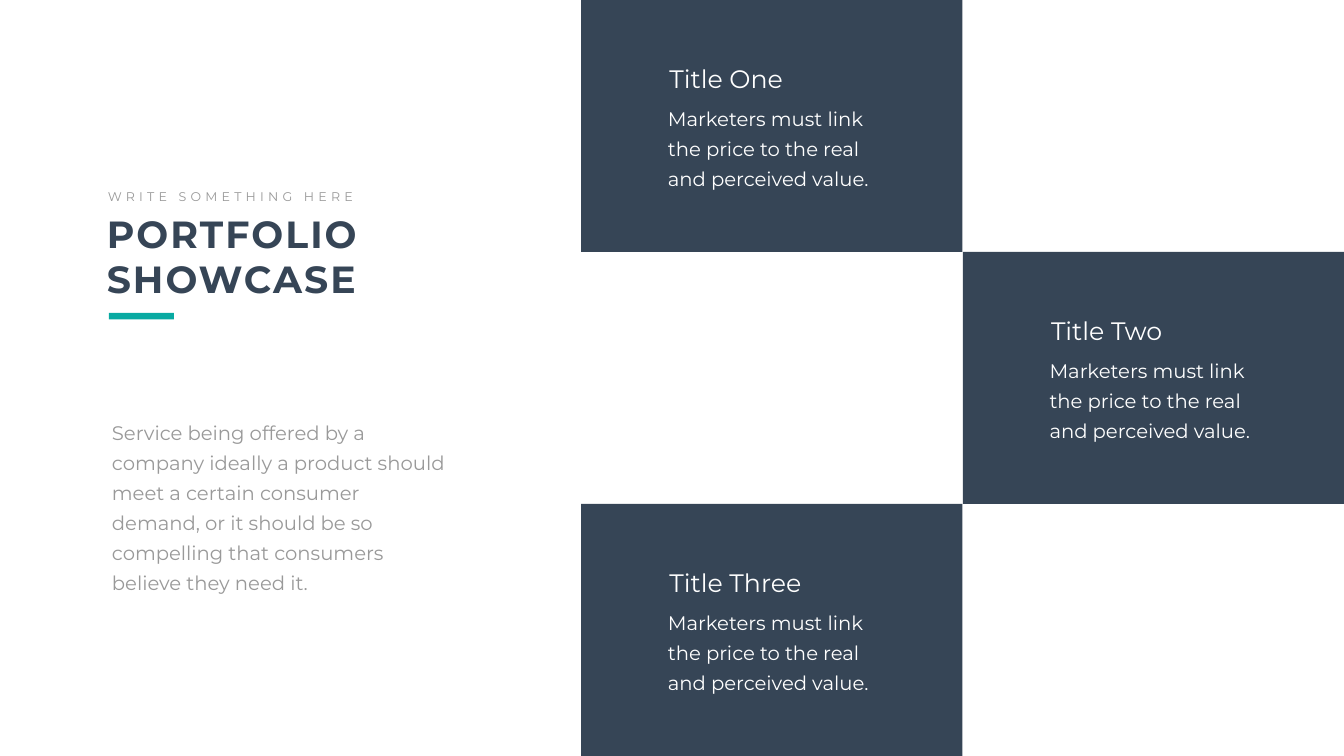
from dataclasses import dataclass

from pptx import Presentation
from pptx import util as u
from pptx.dml.color import RGBColor
from pptx.enum import shapes, text


@dataclass(frozen=True)
class Theme:
    font: str = "Montserrat"
    navy: str = "364556"
    teal: str = "08AAA2"
    gray: str = "999999"
    white: str = "FFFFFF"
    head: int = 54
    title: int = 36
    body: int = 28
    label: int = 18
    lead: int = 43


def write(frame, words, size, color, font, bold=False, track=0, lead=None):
    """Fill a text frame with one formatted paragraph."""
    para = frame.paragraphs[0]
    if lead:
        para.line_spacing = u.Pt(lead)
    run = para.add_run()
    run.text = words
    run.font.name = font
    run.font.size = u.Pt(size)
    run.font.bold = bold
    run.font.color.rgb = RGBColor.from_string(color)
    if track:
        run.font._element.set("spc", str(track * 100))


class Deck:
    def __init__(self, theme, width, height):
        self.theme = theme
        self.file = Presentation()
        self.file.slide_width = u.Inches(width)
        self.file.slide_height = u.Inches(height)
        self.slide = self.file.slides.add_slide(self.file.slide_layouts[6])
        self.group()

    def group(self):
        """Start a group that takes the elements that follow."""
        self.host = self.slide.shapes.add_group_shape().shapes

    def block(self, box, color):
        shape = self.host.add_shape(
            shapes.MSO_SHAPE.RECTANGLE, *map(u.Inches, box))
        shape.shadow.inherit = False
        shape.fill.solid()
        shape.fill.fore_color.rgb = RGBColor.from_string(color)
        shape.line.fill.background()

    def label(self, box, words, size, color, wrap=True, pad=(0.1, 0.05),
              **style):
        frame = self.host.add_textbox(*map(u.Inches, box)).text_frame
        frame.word_wrap = wrap
        frame.auto_size = text.MSO_AUTO_SIZE.SHAPE_TO_FIT_TEXT
        frame.margin_left = frame.margin_right = u.Inches(pad[0])
        frame.margin_top = frame.margin_bottom = u.Inches(pad[1])
        write(frame, words, size, color, self.theme.font, **style)


def main():
    look = Theme()
    deck = Deck(look, 26.66, 15)

    # Checkered cards: left edge, row, title, title width
    wide, tall = 7.56, 5
    left, right = 11.53, 19.1
    cards = [
        (left, 0, "Title One", 2.51),
        (right, 1, "Title Two", 2.5),
        (left, 2, "Title Three", 2.89),
    ]
    for x, row, *_ in cards:
        deck.block((x, row * tall, wide, tall), look.navy)

    # Card texts
    pitch = "Marketers must link the price to the real and perceived value."
    for x, row, title, span in cards:
        y = row * tall
        deck.group()
        deck.label((x + 1.65, y + 1.21, span, 0.71), title, look.title,
                   look.white, wrap=False)
        deck.label((x + 1.62, y + 1.94, 4.32, 1.86), pitch, look.body,
                   look.white, lead=look.lead)

    # Heading with accent bar
    deck.group()
    deck.label((2.02, 4.13, 9.04, 1.92), "PORTFOLIO SHOWCASE", look.head,
               look.navy, bold=True, track=3)
    deck.label((2.04, 3.7, 5.18, 0.4), "WRITE SOMETHING HERE", look.label,
               look.gray, wrap=False, track=6)
    deck.block((2.16, 6.21, 1.29, 0.13), look.teal)

    # Intro
    deck.label((1.98, 8.1, 7.21, 3.2),
               "Service being offered by a company ideally a product should "
               "meet a certain consumer demand, or it should be so "
               "compelling that consumers believe they need it.",
               look.body, look.gray, pad=(0.24, 0.12), lead=look.lead)

    deck.file.save("out.pptx")


if __name__ == "__main__":
    main()
